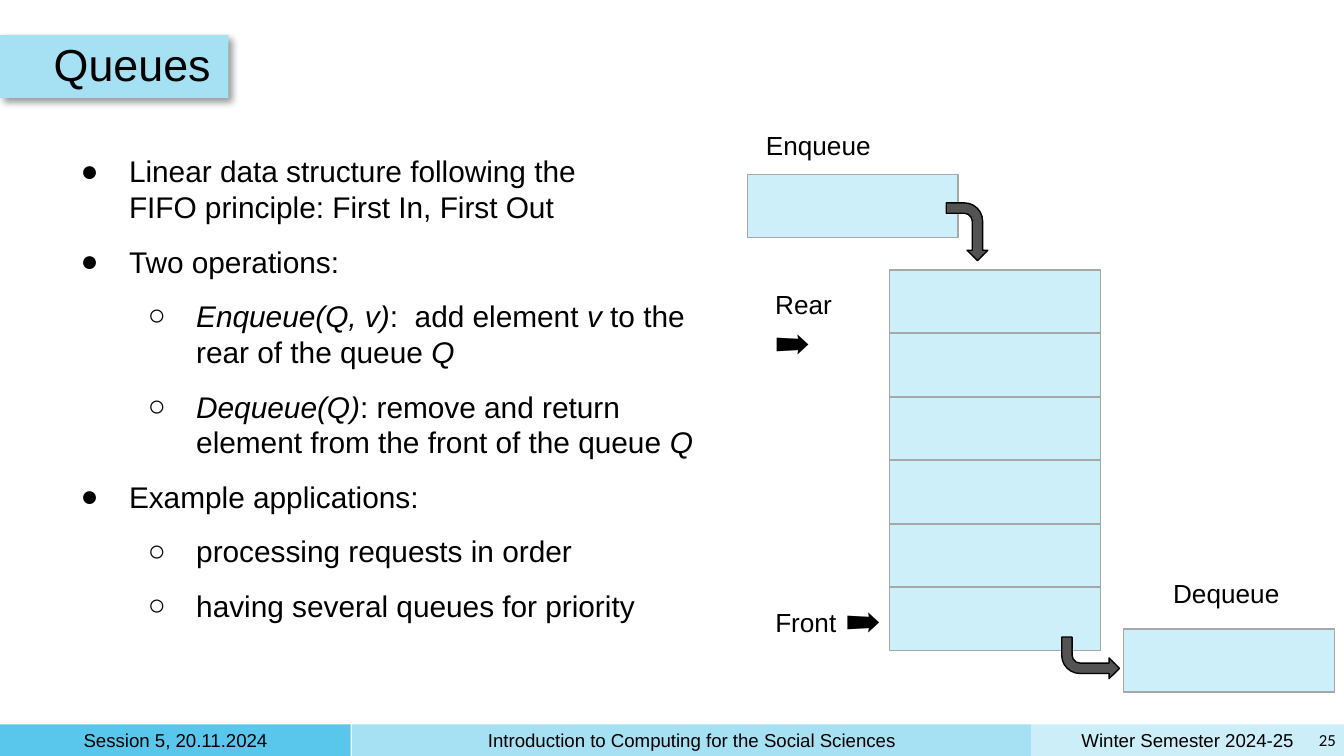
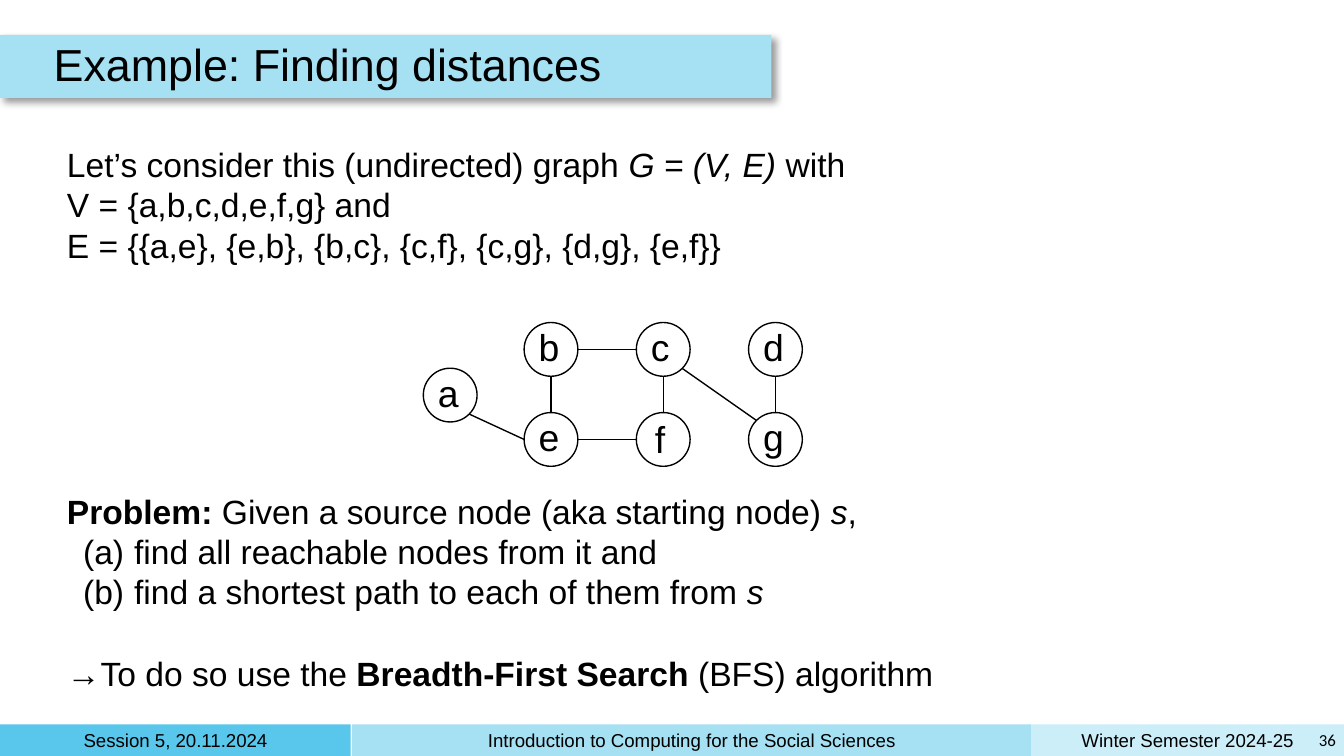
"""Builds two lecture slides on queues and on finding distances in graphs."""
import math

from lxml import etree
from pptx import Presentation
from pptx import util as u
from pptx.dml import color
from pptx.enum import shapes, text
from pptx.oxml import ns

SHAPE = shapes.MSO_SHAPE
BLACK, WHITE, GREY, DARK = "000000", "FFFFFF", "A7A7A7", "535353"
BAND, CELL = "A5E0F3", "CDEFF9"
ITALIC, BOLD = {"italic": True}, {"bold": True}
TIGHT, ROOMY = (0.05,) * 4, (0.1,) * 4
CELL_WIDTH, CELL_HEIGHT = 1.57, 0.47
NODE_SIZE = 0.4
FOOTERS = [
    (7.67, 2.33, "CCEEF9", "Winter Semester 2024-25"),
    (0, 2.61, "59C7EB", "Session 5, 20.11.2024"),
    (2.62, 5.05, BAND, "Introduction to Computing for the Social Sciences"),
]


def rgb(value):
    """Return the colour for a hex string."""
    return color.RGBColor.from_string(value)


def add_xml(parent, tag, **attributes):
    """Append a drawing element with attributes to a parent."""
    child = etree.SubElement(parent, ns.qn(tag))
    for name, value in attributes.items():
        child.set(name, str(value))
    return child


def inches(values):
    """Convert numbers to lengths."""
    return [u.Inches(value) for value in values]


def set_frame(box, insets, anchor="TOP", grow=False):
    """Set wrapping, insets and anchor of a text frame."""
    frame = box.text_frame
    left, top, right, bottom = inches(insets)
    values = {
        "word_wrap": True,
        "margin_left": left,
        "margin_top": top,
        "margin_right": right,
        "margin_bottom": bottom,
        "vertical_anchor": getattr(text.MSO_ANCHOR, anchor),
        "auto_size": text.MSO_AUTO_SIZE.SHAPE_TO_FIT_TEXT if grow else text.MSO_AUTO_SIZE.NONE,
    }
    for name, value in values.items():
        setattr(frame, name, value)


def set_bullet(para, left, hanging, tag, **attributes):
    """Give a paragraph a hanging black bullet or number."""
    properties = para._p.get_or_add_pPr()
    properties.set("marL", str(u.Inches(left)))
    properties.set("indent", str(u.Inches(-hanging)))
    add_xml(add_xml(properties, "a:buClr"), "a:srgbClr", val=BLACK)
    add_xml(properties, "a:buFont", typeface="Arial")
    add_xml(properties, tag, **attributes)


def add_runs(para, runs, size, name="Arial"):
    """Add runs, given as (words, format) pairs, to a paragraph."""
    for words, values in runs:
        for index, line in enumerate(words.split("\n")):
            if index:
                para.add_line_break()
            if not line:
                continue
            span = para.add_run()
            span.text = line
            span.font.color.rgb = rgb(BLACK)
            for key, value in {"name": name, "size": u.Pt(size), **values}.items():
                setattr(span.font, key, value)


def fill_text(box, paragraphs, size, name="Arial", align=None):
    """Write a list of paragraphs into a box and return them."""
    frame = box.text_frame
    for index, runs in enumerate(paragraphs):
        para = frame.add_paragraph() if index else frame.paragraphs[0]
        para.alignment = align
        add_runs(para, runs, size, name)
    return frame.paragraphs


def add_text(page, at, paragraphs, size, insets=ROOMY, anchor="TOP", grow=True, **options):
    """Add a text box and return its paragraphs."""
    box = page.shapes.add_textbox(*inches(at))
    set_frame(box, insets, anchor, grow)
    return fill_text(box, paragraphs, size, **options)


def add_block(page, kind, at, fill, line=None):
    """Add a filled preset shape, outlined if a line colour is given."""
    block = page.shapes.add_shape(kind, *inches(at))
    block.shadow.inherit = False
    block.fill.solid()
    block.fill.fore_color.rgb = rgb(fill)
    if line:
        block.line.color.rgb = rgb(line)
        block.line.width = u.Pt(0.75)
    else:
        block.line.fill.background()
    return block


def add_footer(page, number):
    """Add the footer bands and the page number."""
    for left, width, fill, words in FOOTERS:
        add_block(page, SHAPE.RECTANGLE, (left, 5.39, width, 0.24), fill)
        add_text(page, (left + 0.05, 5.41, width - 0.1, 0.19), [[(words, {})]], 10,
                 TIGHT, "MIDDLE", False, align=text.PP_ALIGN.CENTER)
    add_text(page, (9.75, 5.38, 0.24, 0.25), [[(str(number), {})]], 9,
             TIGHT, "MIDDLE", name="Calibri", align=text.PP_ALIGN.RIGHT)


def add_title(page, words, band_width):
    """Add the title on its shadowed band."""
    band = add_block(page, SHAPE.RECTANGLE, (0, 0.26, band_width, 0.47), BAND)
    effects = band._element.spPr.find(ns.qn("a:effectLst"))
    shadow = add_xml(effects, "a:outerShdw", blurRad=u.Pt(4), dist=u.Pt(3),
                     dir=45 * 60000, algn="bl", rotWithShape=0)
    add_xml(add_xml(shadow, "a:srgbClr", val=BLACK), "a:alpha", val=40000)
    paras = add_text(page, (0.35, 0.26, 8.6, 0.47), [[(words, {})]], 24, TIGHT, "MIDDLE", False)
    paras[0].line_spacing = 0.9


def add_page(deck, title, band_width, number):
    """Add a blank slide with footer and title."""
    page = deck.slides.add_slide(deck.slide_layouts[6])
    add_footer(page, number)
    add_title(page, title, band_width)
    return page


def add_bullets(page, at, items):
    """Add a two-level bullet list from (level, runs) pairs."""
    paras = add_text(page, at, [runs for _, runs in items], 16, TIGHT)
    for index, (para, (level, _)) in enumerate(zip(paras, items)):
        para.level = level
        set_bullet(para, 0.5 + 0.5 * level, 0.36, "a:buChar", char="●○"[level])
        if index:
            para.space_before = u.Pt(10)


def add_cell(page, left, top):
    """Add one queue cell."""
    add_block(page, SHAPE.RECTANGLE, (left, top, CELL_WIDTH, CELL_HEIGHT), CELL, GREY)


def add_bent_arrow(page, left, top, rotation, flipped=False):
    """Add a dark bent arrow."""
    arrow = add_block(page, SHAPE.BENT_ARROW, (left, top, 0.43, 0.31), DARK, BLACK)
    for index, value in enumerate((0.25, 0.25, 0.25, 0.44)):
        arrow.adjustments[index] = value
    arrow.rotation = rotation
    if flipped:
        arrow._element.spPr.find(ns.qn("a:xfrm")).set("flipH", "1")


def add_node(page, label, left, top):
    """Add a labelled graph node."""
    node = add_block(page, SHAPE.OVAL, (left, top, NODE_SIZE, NODE_SIZE), WHITE, BLACK)
    set_frame(node, (0.05, 0.09 if label == "f" else 0.06, 0.1, 0.1), "MIDDLE")
    fill_text(node, [[(label, {})]], 20, align=text.PP_ALIGN.CENTER)


def rim_point(corner, degrees):
    """Return the point on a node's rim, clockwise from the right."""
    angle, radius = math.radians(degrees), NODE_SIZE / 2
    return (corner[0] + radius + radius * math.cos(angle),
            corner[1] + radius + radius * math.sin(angle))


def add_edge(page, start, end):
    """Add a thin black line between two points."""
    edge = page.shapes.add_connector(shapes.MSO_CONNECTOR.STRAIGHT, *inches(start + end))
    edge.line.color.rgb = rgb(BLACK)
    edge.line.width = u.Pt(0.75)
    add_xml(edge._element.spPr, "a:effectLst")


def build_queues(deck):
    """Build the slide on queues."""
    page = add_page(deck, "Queues", 1.7, 25)
    add_bullets(page, (0.41, 1.09, 4.82, 3.64), [
        (0, [("Linear data structure following the \nFIFO principle: First In, First Out", {})]),
        (0, [("Two operations:", {})]),
        (1, [("Enqueue(Q, v)", ITALIC), (":  add element ", {}), ("v", ITALIC),
             (" to the rear of the queue ", {}), ("Q", ITALIC)]),
        (1, [("Dequeue(Q)", ITALIC),
             (": remove and return element from the front of the queue ", {}), ("Q", ITALIC)]),
        (0, [("Example applications:", {})]),
        (1, [("processing requests in order", {})]),
        (1, [("having several queues for priority", {})]),
    ])
    for row in reversed(range(6)):
        add_cell(page, 6.62, 2.01 + 0.472 * row)
    add_cell(page, 5.56, 1.3)
    add_cell(page, 8.36, 4.68)
    pointer = (" ➡", {"size": u.Pt(18)})
    for at, runs in [
        ((5.67, 1.99, 0.93, 0.5), [("Rear", {}), pointer]),
        ((5.6, 0.86, 1.18, 0.44), [("Enqueue", {})]),
        ((8.63, 4.2, 1.18, 0.44), [("Dequeue", {})]),
        ((5.67, 4.36, 1.18, 0.5), [("Front", {}), pointer]),
    ]:
        add_text(page, at, [runs], 14)
    add_bent_arrow(page, 6.98, 1.57, 90)
    add_bent_arrow(page, 7.9, 4.74, 180, flipped=True)


def build_distances(deck):
    """Build the slide on finding distances."""
    page = add_page(deck, "Example: Finding distances", 5.74, 36)
    add_text(page, (0.4, 0.97, 8.95, 1.11), [[
        ("Let’s consider this (undirected) graph ", {}), ("G = (V, E) ", ITALIC),
        ("with \nV = {a,b,c,d,e,f,g} and \n"
         "E = {{a,e}, {e,b}, {b,c}, {c,f}, {c,g}, {d,g}, {e,f}}", {}),
    ]], 18)
    nodes = {"a": (3.15, 2.74)}
    for top, labels in ((2.4, "bcd"), (3.07, "efg")):
        for column, label in enumerate(labels):
            nodes[label] = (3.9 + 0.835 * column, top)
    for label, corner in nodes.items():
        add_node(page, label, *corner)
    for first, leaving, second, arriving in [
        ("a", 45, "e", 180), ("b", 0, "c", 180), ("c", 45, "g", 225), ("e", 0, "f", 180),
        ("b", 90, "e", 270), ("f", 270, "c", 90), ("g", 270, "d", 90),
    ]:
        add_edge(page, rim_point(nodes[first], leaving), rim_point(nodes[second], arriving))
    paras = add_text(page, (0.4, 3.55, 8.95, 1.72), [
        [("Problem:", BOLD), (" Given a source node (aka starting node) ", {}),
         ("s", ITALIC), (",", {})],
        [("find all reachable nodes from it and", {})],
        [("find a shortest path to each of them from ", {}), ("s", ITALIC)],
        [("→To do so use the ", {}), ("Breadth-First Search", BOLD), (" (BFS) algorithm", {})],
    ], 18)
    for para in paras[1:3]:
        set_bullet(para, 0.5, 0.38, "a:buAutoNum", type="alphaLcParenBoth")
    paras[3].space_before = u.Pt(22)


def main():
    """Build and save the deck."""
    deck = Presentation()
    deck.slide_width = u.Inches(10)
    deck.slide_height = deck.slide_width * 9 // 16
    build_queues(deck)
    build_distances(deck)
    deck.save("out.pptx")


if __name__ == "__main__":
    main()
